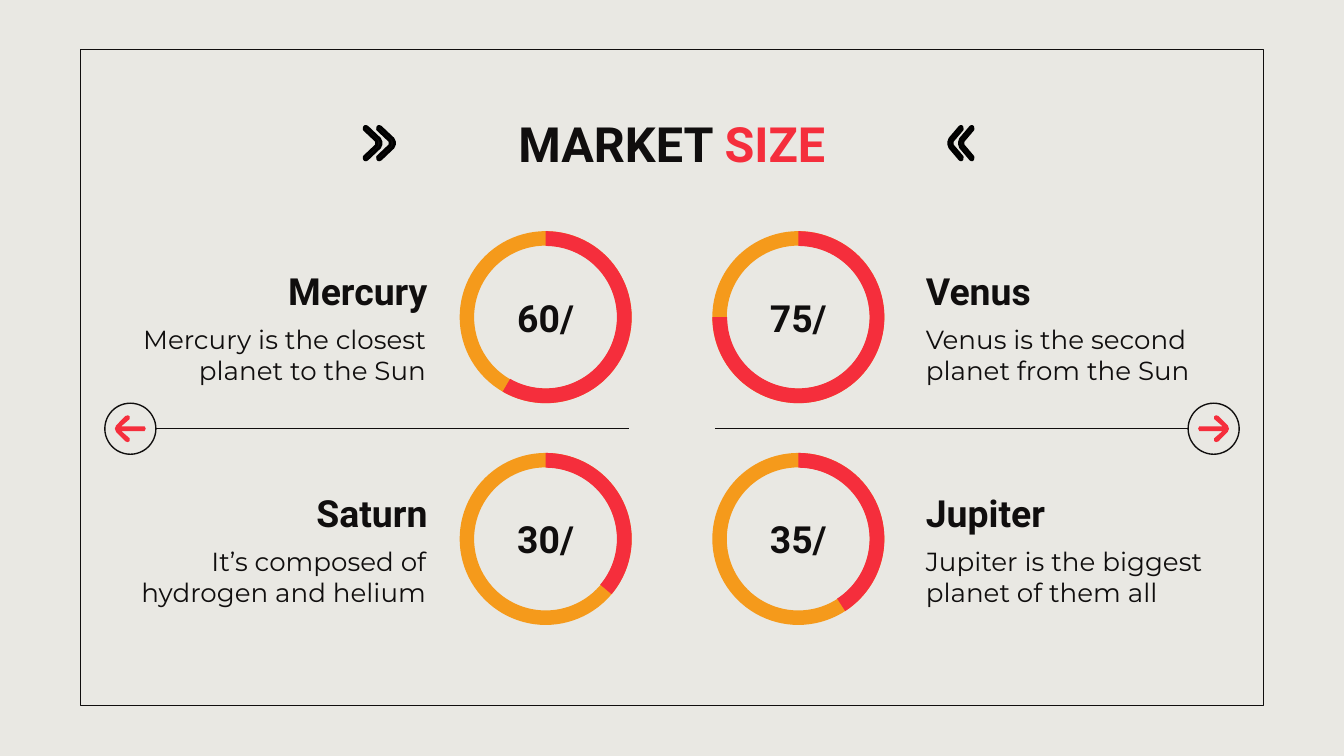
"""Build the market size slide: four ring gauges with labels around a split rule."""
from dataclasses import dataclass

import pptx
import pptx.dml.color
import pptx.enum.shapes
import pptx.enum.text
import pptx.oxml
import pptx.util
from lxml import etree

Rgb = pptx.dml.color.RGBColor.from_string
Pt = pptx.util.Pt
Kind = pptx.enum.shapes.MSO_SHAPE
Align = pptx.enum.text.PP_ALIGN
Mid = pptx.enum.text.MSO_ANCHOR.MIDDLE
Top = pptx.enum.text.MSO_ANCHOR.TOP
Point = tuple[float, float]


@dataclass(frozen=True)
class Theme:
    paper: str = "E9E8E3"
    ink: str = "100E0E"
    black: str = "000000"
    red: str = "F52E3C"
    gold: str = "F59A1B"
    head: str = "Roboto"
    body: str = "Montserrat"
    title: int = 26
    name: int = 20
    note: int = 14
    rule: float = 0.75
    bold: float = 1.5


@dataclass(frozen=True)
class Box:
    x: float
    y: float
    w: float
    h: float


@dataclass(frozen=True)
class Planet:
    name: str
    note: str
    score: str
    sweep: float
    col: int
    row: int


THEME = Theme()
WIDE, HIGH = pptx.util.Inches(10), pptx.util.Inches(5.625)
COLS = 100
RING, RINGS_X, RINGS_Y = 12.8, (34.2, 53), (17.2, 33.7)
RULE_Y, DISC = 31.9, 3.8
PLANETS = (
    Planet("Mercury", "Mercury is the closest planet to the Sun", "60/", 210, 0, 0),
    Planet("Venus", "Venus is the second planet from the Sun", "75/", 270, 1, 0),
    Planet("Saturn", "It’s composed of hydrogen and helium", "30/", 130, 0, 1),
    Planet("Jupiter", "Jupiter is the biggest planet of them all", "35/", 147, 1, 1),
)
CHEVRON = ((0.74, 0.44), (0, 0.09), (0.02, 0.02), (0.08, 0), (0.18, 0.02),
           (0.92, 0.37), (1, 0.46))
ARROW = ((0, 0.5), (0.04, 0.41), (0.79, 0.41), (0.52, 0.14), (0.52, 0.04),
         (0.58, 0), (0.66, 0.03), (0.96, 0.38), (1, 0.5))


def unit(size: float) -> int:
    """Turn grid columns into slide lengths."""
    return round(size * WIDE / COLS)


def place(box: Box) -> tuple[int, ...]:
    """Turn a grid box into left, top, width and height."""
    return tuple(unit(v) for v in (box.x, box.y, box.w, box.h))


def paint(shape, fill: str = "", line: str = "", width: float = THEME.rule) -> None:
    """Give a shape its fill and line, or none."""
    shape.shadow.inherit = False
    if fill:
        shape.fill.solid()
        shape.fill.fore_color.rgb = Rgb(fill)
    else:
        shape.fill.background()
    if line:
        shape.line.color.rgb = Rgb(line)
        shape.line.width = Pt(width)
    else:
        shape.line.fill.background()


def write(slide, box: Box, runs: dict[str, str], face: str, size: int,
          align=Align.CENTER, anchor=Mid, gap: float = 1):
    """Write one paragraph of coloured runs in a box."""
    frame = slide.shapes.add_textbox(*place(box)).text_frame
    frame.word_wrap = True
    frame.vertical_anchor = anchor
    frame.margin_left = frame.margin_right = unit(1)
    frame.margin_top = frame.margin_bottom = unit(1)
    para = frame.paragraphs[0]
    para.alignment, para.line_spacing = align, gap
    para.font.name, para.font.size = face, Pt(size)
    para.font.bold = face == THEME.head
    for text, tint in runs.items():
        run = para.add_run()
        run.text = text
        if len(runs) > 1:
            run.font.color.rgb = Rgb(tint)
        else:
            para.font.color.rgb = Rgb(tint)


def trace(slide, box: Box, half: tuple[Point, ...], right: bool, fill: str, line: str = "") -> None:
    """Draw an outline from its top half, pointing right or left."""
    whole = half + tuple((x, 1 - y) for x, y in reversed(half))
    dots = [(unit(box.x + box.w * (x if right else 1 - x)), unit(box.y + box.h * y))
            for x, y in whole]
    pen = slide.shapes.build_freeform(*dots[0])
    pen.add_line_segments(dots[1:], close=True)
    paint(pen.convert_to_shape(), fill, line, THEME.bold)


def gauge(slide, item: Planet) -> None:
    """Draw one ring with its score, name and note."""
    x, y = RINGS_X[item.col], RINGS_Y[item.row]
    box = Box(x, y, RING, RING)
    ring = slide.shapes.add_shape(Kind.DONUT, *place(box))
    ring.adjustments[0] = 0.084
    paint(ring, THEME.gold)
    arc = slide.shapes.add_shape(Kind.BLOCK_ARC, *place(box))
    arc.rotation = 90
    for spot, value in enumerate((108, (item.sweep + 180) % 360 * 0.6, 0.086)):
        arc.adjustments[spot] = value
    paint(arc, THEME.red)
    write(slide, Box(x - 1, y + 4.2, 14.8, 4.4), {item.score: THEME.ink}, THEME.head, THEME.name)
    side = Align.LEFT if item.col else Align.RIGHT
    name = Box((12, 67.9)[item.col], y + 1.25, 20.8, 4.4)
    note = Box((7.8, 67.9)[item.col], y + 6.75, (24.9, 22.8)[item.col], 4.9)
    write(slide, name, {item.name: THEME.ink}, THEME.head, THEME.name, side, Top, 1.15)
    write(slide, note, {item.note: THEME.ink}, THEME.body, THEME.note, side)


def pointer(slide, start: float, end: float, right: bool) -> None:
    """Draw a rule that ends in a circled arrow."""
    straight = pptx.enum.shapes.MSO_CONNECTOR.STRAIGHT
    rule = slide.shapes.add_connector(straight, unit(start), unit(RULE_Y), unit(end), unit(RULE_Y))
    rule.line.color.rgb = Rgb(THEME.ink)
    rule.line.width = Pt(THEME.rule)
    etree.SubElement(rule._element.spPr, pptx.oxml.ns.qn("a:effectLst"))
    left = end if right else end - DISC
    disc = Box(left, RULE_Y - DISC / 2, DISC, DISC)
    paint(slide.shapes.add_shape(Kind.OVAL, *place(disc)), line=THEME.ink)
    trace(slide, Box(left + 0.75, RULE_Y - 1, 2.3, 2), ARROW, right, THEME.red)


def main() -> None:
    """Build and save the slide."""
    deck = pptx.Presentation()
    deck.slide_width, deck.slide_height = WIDE, HIGH
    slide = deck.slides.add_slide(deck.slide_layouts[6])
    slide.background.fill.solid()
    slide.background.fill.fore_color.rgb = Rgb(THEME.paper)
    frame = slide.shapes.add_shape(Kind.RECTANGLE, *place(Box(6, 3.7, 88, 48.8)))
    paint(frame, line=THEME.ink)
    title = {"MARKET ": THEME.ink, "SIZE": THEME.red}
    write(slide, Box(31.2, 7.5, 37.6, 6.3), title, THEME.head, THEME.title)
    for x, width, right in ((28.1, 1.25, True), (27.1, 1.25, True),
                            (70.6, 1, False), (71.4, 1, False)):
        trace(slide, Box(x, 9.4, width, 2.5), CHEVRON, right, THEME.ink, THEME.black)
    for item in PLANETS:
        gauge(slide, item)
    pointer(slide, 46.8, 11.6, False)
    pointer(slide, 53.2, 88.4, True)
    deck.save("out.pptx")


if __name__ == "__main__":
    main()
